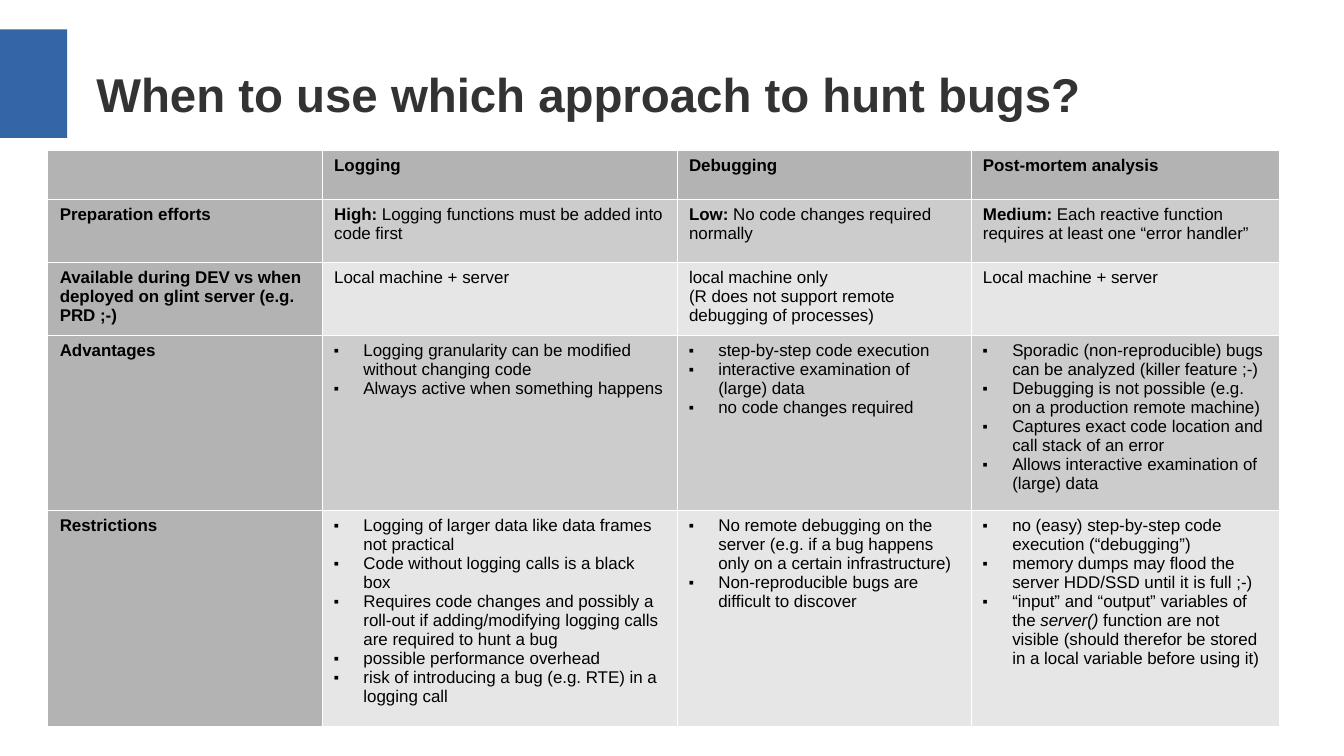
from copy import deepcopy
from dataclasses import dataclass

from lxml.etree import SubElement
from pptx import Presentation
from pptx.dml.color import RGBColor
from pptx.enum.shapes import MSO_SHAPE
from pptx.enum.text import MSO_ANCHOR
from pptx.oxml.ns import qn
from pptx.util import Inches, Pt


@dataclass(frozen=True)
class Theme:
    font: str = "Arial"
    title_size: float = 28
    body_size: float = 10
    border_width: float = 0.06
    accent: str = "3465A4"
    title: str = "333333"
    text: str = "000000"
    border: str = "FFFFFF"
    header: str = "B3B3B3"
    bands: tuple = ("CCCCCC", "E6E6E6")


THEME = Theme()
COLUMNS = [2.25, 2.91, 2.41, 2.53]
ROW_HEIGHTS = [0.39, 0.52, 0.56, 1.33, 1.66]
HEADINGS = ["", "Logging", "Debugging", "Post-mortem analysis"]
FACTS = [
    ("Preparation efforts", [
        [("High:", "b"), " Logging functions must be added into code first"],
        [("Low:", "b"), " No code changes required normally"],
        [("Medium:", "b"), " Each reactive function requires at least one “error handler”"],
    ]),
    ("Available during DEV vs when deployed on glint server (e.g. PRD ;-)", [
        ["Local machine + server"],
        ["local machine only\n(R does not support remote debugging of processes)"],
        ["Local machine + server"],
    ]),
]
LISTS = [
    ("Advantages", [
        [["Logging granularity can be modified without changing code"],
         ["Always active when something happens"]],
        [["step-by-step code execution"],
         ["interactive examination of (large) data"],
         ["no code changes required"]],
        [["Sporadic (non-reproducible) bugs can be analyzed (killer feature ;-)"],
         ["Debugging is not possible (e.g. on a production remote machine)"],
         ["Captures exact code location and call stack of an error"],
         ["Allows interactive examination of (large) data"]],
    ]),
    ("Restrictions", [
        [["Logging of larger data like data frames not practical"],
         ["Code without logging calls is a black box"],
         ["Requires code changes and possibly a roll-out if adding/modifying "
          "logging calls are required to hunt a bug"],
         ["possible performance overhead"],
         ["risk of introducing a bug (e.g. RTE) in a logging call"]],
        [["No remote debugging on the server (e.g. if a bug happens only on a "
          "certain infrastructure)"],
         ["Non-reproducible bugs are difficult to discover"]],
        [["no (easy) step-by-step code execution (“debugging”)"],
         ["memory dumps may flood the server HDD/SSD until it is full ;-)"],
         ["“input” and “output” variables of the ", ("server()", "i"),
          " function are not visible (should therefor be stored in a local "
          "variable before using it)"]],
    ]),
]


def rgb(color):
    return RGBColor.from_string(color)


def add_bullet(p):
    pPr = p._p.get_or_add_pPr()
    pPr.set("marL", str(Inches(0.24)))
    pPr.set("indent", str(Inches(-0.24)))
    color = SubElement(pPr, qn("a:buClr"))
    SubElement(color, qn("a:srgbClr"), val=THEME.text)
    SubElement(pPr, qn("a:buSzPct"), val="45000")
    SubElement(pPr, qn("a:buFont"), typeface=THEME.font)
    SubElement(pPr, qn("a:buChar"), char="■")


def write_text(tf, paragraphs, size=THEME.body_size, color=THEME.text,
               bold=False, bullets=False):
    tf.word_wrap = True
    for i, runs in enumerate(paragraphs):
        p = tf.add_paragraph() if i else tf.paragraphs[0]
        if bullets:
            add_bullet(p)
        for run in runs:
            text, style = (run, "") if isinstance(run, str) else run
            for j, line in enumerate(text.split("\n")):
                if j:
                    p._p.add_br().append(deepcopy(r._r.rPr))
                r = p.add_run()
                r.text = line
                r.font.name = THEME.font
                r.font.size = Pt(size)
                r.font.color.rgb = rgb(color)
                r.font.bold = bold or style == "b"
                r.font.italic = style == "i"


def add_accent(s):
    sp = s.shapes.add_shape(MSO_SHAPE.RECTANGLE, Inches(0), Inches(0.24),
                            Inches(0.55), Inches(0.89))
    sp.shadow.inherit = False
    sp.fill.solid()
    sp.fill.fore_color.rgb = rgb(THEME.accent)
    sp.line.fill.background()


def add_title(s, text):
    tf = s.shapes.add_textbox(Inches(0.79), Inches(0.25), Inches(9.68),
                              Inches(1.04)).text_frame
    tf.margin_left = tf.margin_right = tf.margin_top = tf.margin_bottom = 0
    tf.vertical_anchor = MSO_ANCHOR.MIDDLE
    write_text(tf, [[text]], size=THEME.title_size, color=THEME.title, bold=True)


def style_cell(cell, fill):
    tcPr = cell._tc.get_or_add_tcPr()
    for side in ("lnL", "lnR", "lnT", "lnB"):
        ln = SubElement(tcPr, qn(f"a:{side}"), w=str(Pt(THEME.border_width)))
        line_fill = SubElement(ln, qn("a:solidFill"))
        SubElement(line_fill, qn("a:srgbClr"), val=THEME.border)
    cell.fill.solid()
    cell.fill.fore_color.rgb = rgb(fill)


def fill_cell(cell, paragraphs, fill, **text_format):
    style_cell(cell, fill)
    write_text(cell.text_frame, paragraphs, **text_format)


def add_comparison(s):
    table = s.shapes.add_table(len(ROW_HEIGHTS), len(COLUMNS), Inches(0.39),
                               Inches(1.23), Inches(sum(COLUMNS)),
                               Inches(sum(ROW_HEIGHTS))).table
    for column, width in zip(table.columns, COLUMNS):
        column.width = Inches(width)
    for row, height in zip(table.rows, ROW_HEIGHTS):
        row.height = Inches(height)
    for col, heading in enumerate(HEADINGS):
        fill_cell(table.cell(0, col), [[heading]] if heading else [],
                  THEME.header, bold=True)
    rows = [(label, [[runs] for runs in cells], False) for label, cells in FACTS]
    rows += [(label, cells, True) for label, cells in LISTS]
    for i, (label, cells, bullets) in enumerate(rows):
        fill_cell(table.cell(i + 1, 0), [[label]], THEME.header, bold=True)
        for col, paragraphs in enumerate(cells, 1):
            fill_cell(table.cell(i + 1, col), paragraphs, THEME.bands[i % 2],
                      bullets=bullets)


def main():
    prs = Presentation()
    prs.slide_width, prs.slide_height = Inches(11.02), Inches(6.2)
    s = prs.slides.add_slide(prs.slide_layouts[6])
    add_accent(s)
    add_title(s, "When to use which approach to hunt bugs?")
    add_comparison(s)
    prs.save("out.pptx")


if __name__ == "__main__":
    main()
